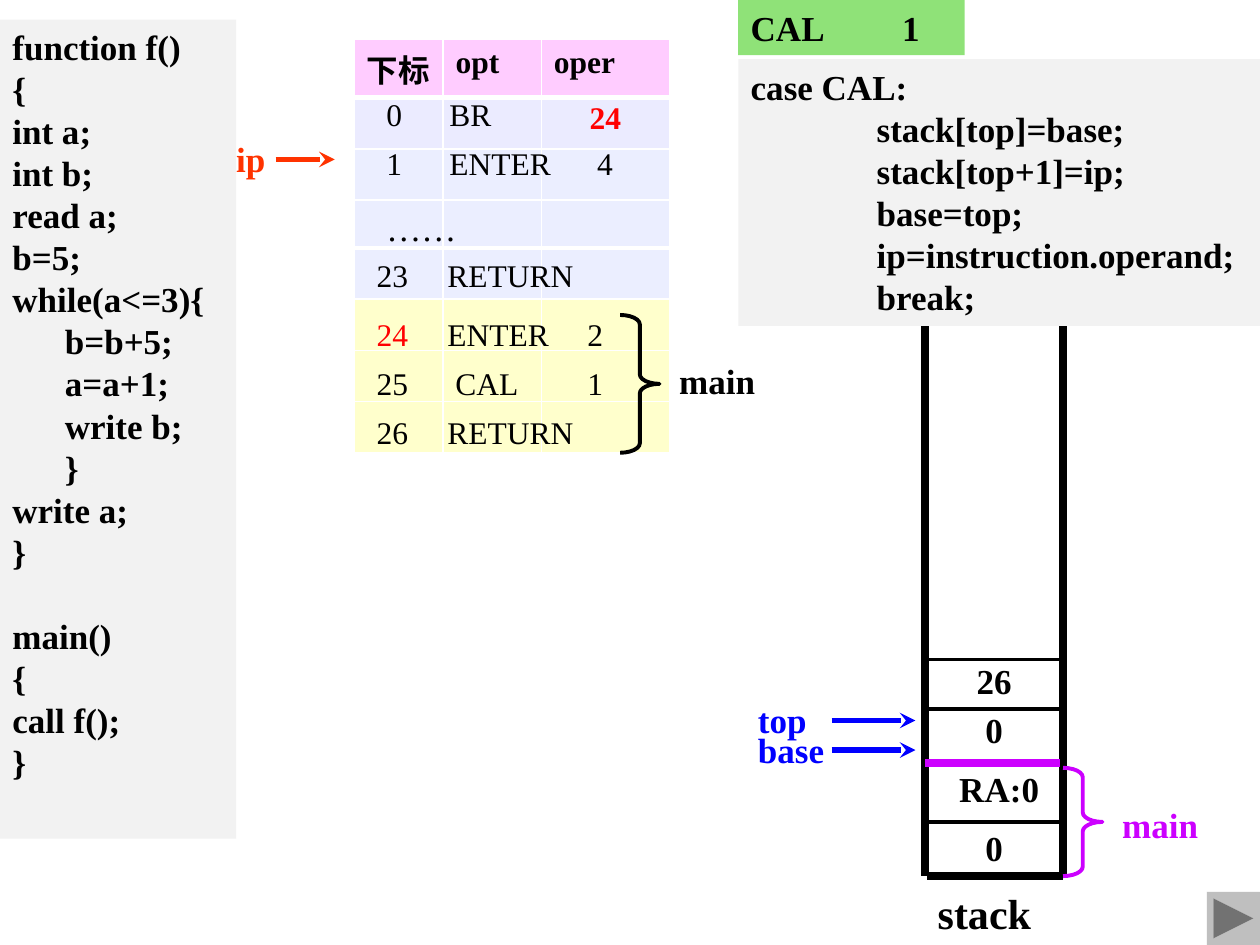
import pptx
import pptx.util
import pptx.dml.color
import pptx.enum.shapes
import pptx.enum.text
import pptx.oxml
import pptx.oxml.ns

COLORS = {
    "black": "000000", "white": "FFFFFF", "red": "FF0000", "orange": "FF3300",
    "blue": "0000FF", "purple": "CC00FF", "gray": "F2F2F2", "button": "BFBFBF",
    "green": "8FE278", "pink": "FFCCFF", "lavender": "EBEBFF",
    "mist": "EBEEFF", "yellow": "FFFFCC",
}
FONT = "Times New Roman"
WIDTH, HEIGHT = pptx.util.Inches(10), pptx.util.Inches(7.5)
UNIT = WIDTH / 128
SHAPES = pptx.enum.shapes.MSO_SHAPE
CENTER = pptx.enum.text.PP_ALIGN.CENTER
LEFT = pptx.enum.text.PP_ALIGN.LEFT


def grid(*values):
    return [round(v * UNIT) for v in values]


def rgb(name):
    return pptx.dml.color.RGBColor.from_string(COLORS[name])


def add_xml(parent, tag, inner="", attrs=""):
    ns = pptx.oxml.ns.nsdecls("a")
    parent.append(pptx.oxml.parse_xml(f"<a:{tag} {ns} {attrs}>{inner}</a:{tag}>"))


def style_run(r, size, color, bold):
    r.font.name, r.font.size, r.font.bold = FONT, pptx.util.Pt(size), bold
    r.font.color.rgb = rgb(color)


def write(sp, lines, size=20, color="black", bold=True, align=LEFT,
          inset=(0.1, 0.05), tabs=(), spacing=None):
    tf = sp.text_frame
    tf.word_wrap = True
    tf.vertical_anchor = pptx.enum.text.MSO_ANCHOR.TOP
    tf.margin_left = tf.margin_right = pptx.util.Inches(inset[0])
    tf.margin_top = tf.margin_bottom = pptx.util.Inches(inset[1])
    for i, line in enumerate(lines):
        p = tf.add_paragraph() if i else tf.paragraphs[0]
        p.text = line
        p.alignment = align
        if spacing:
            p.line_spacing = spacing
        if tabs:
            stops = "".join(f'<a:tab pos="{pos}" algn="l"/>' for pos in grid(*tabs))
            add_xml(p._p.get_or_add_pPr(), "tabLst", stops)
        for r in p.runs:
            style_run(r, size, color, bold)
    return tf


def add_label(s, box, text, **style):
    return write(s.shapes.add_textbox(*grid(*box)), [text], **style)


def add_panel(s, box, fill, lines, **style):
    sp = s.shapes.add_shape(SHAPES.RECTANGLE, *grid(*box))
    sp.shadow.inherit = False
    sp.fill.solid()
    sp.fill.fore_color.rgb = rgb(fill)
    sp.line.fill.background()
    return write(sp, lines, **style)


def add_line(s, x1, y1, x2, y2, color, width, arrow=False):
    cn = s.shapes.add_connector(pptx.enum.shapes.MSO_CONNECTOR.STRAIGHT,
                                *grid(x1, y1, x2, y2))
    cn.line.color.rgb = rgb(color)
    cn.line.width = pptx.util.Pt(width)
    if arrow:
        add_xml(cn.line._get_or_add_ln(), "tailEnd", attrs='type="stealth"')
    add_xml(cn._element.spPr, "effectLst")


def add_brace(s, box, color, text):
    x, y, w, h = box
    sp = s.shapes.add_shape(SHAPES.RIGHT_BRACE, *grid(*box))
    sp.shadow.inherit = False
    sp.adjustments[0] = 0.24
    sp.fill.background()
    sp.line.color.rgb = rgb(color)
    sp.line.width = pptx.util.Pt(2.25)
    add_label(s, (x + w + 2, y + h * 0.29, 10, 4.75), text, color=color,
              inset=(0, 0), spacing=1.1)


def add_pointer(s, box, shaft, text, color):
    x, y, w, h = box
    add_line(s, x + w - shaft, y + h / 2, x + w, y + h / 2, color, 3, arrow=True)
    add_label(s, (x, y, w - shaft, h), text, color=color, inset=(0, 0))


def add_grid_table(s, box, fills, heads=()):
    tbl = s.shapes.add_table(len(fills), 3, *grid(*box)).table
    tbl.first_row = tbl.horz_banding = False
    for col, share in zip(tbl.columns, (9 / 32, 10 / 32, 13 / 32)):
        col.width = round(box[2] * share * UNIT)
    for i, fill in enumerate(fills):
        for j in range(3):
            c = tbl.cell(i, j)
            for side in "LRTB":
                thick = (side == "B" and i == 0) or (side == "T" and i == 1)
                add_xml(c._tc.get_or_add_tcPr(), "ln" + side,
                        f'<a:solidFill><a:srgbClr val="{COLORS["white"]}"/></a:solidFill>',
                        f'w="{pptx.util.Pt(3 if thick else 1)}"')
            c.fill.solid()
            c.fill.fore_color.rgb = rgb(fill)
            if i == 0 and heads:
                c.text_frame.text = heads[j]
                style_run(c.text_frame.paragraphs[0].runs[0], 18, "black", True)


def add_instructions(s, box):
    x, y, w, h = box
    add_grid_table(s, (x, y + 16, w, 26), ["mist"] * 2 + ["yellow"] * 3)
    add_grid_table(s, (x, y, w, 15.6), ["pink", "lavender", "mist"],
                   ("下标", "opt", "oper"))
    plain = {"size": 18, "bold": False}
    for dy, text in ((5, "0\tBR"), (10, "1\tENTER\t4")):
        add_label(s, (x + 2, y + dy, w - 2, 5), text, tabs=(6.4, 21.4), **plain)
    add_label(s, (x + 22, y + 6, 7, 3.8), "24", size=18, color="red",
              align=CENTER, inset=(0.1, 0))
    add_label(s, (x + 2, y + 17, 23, 4.4), "……", bold=False, inset=(0.1, 0))
    rows = ((22, "23\tRETURN", 7.2), (28, "24\tENTER\t2", 7.2),
            (33, "25\tCAL\t1", 8), (38, "26\tRETURN", 7.2))
    for dy, text, stop in rows:
        tf = add_label(s, (x + 1, y + dy, w - 2, 3.8), text,
                       inset=(0.1, 0), tabs=(stop, 21.4), **plain)
        if text.startswith("24"):
            p = tf.paragraphs[0]
            p.runs[0].text = "24"
            style_run(p.runs[0], 18, "red", False)
            r = p.add_run()
            r.text = text[2:]
            style_run(r, 18, "black", False)
    add_brace(s, (x + 27, y + 28, 4, 14), "black", "main")


def add_source_code(s, box):
    lines = ["function f()", "{", "int a;", "int b;", "read a;", "b=5;",
             "while(a<=3){", "      b=b+5;", "      a=a+1;", "      write b;",
             "      }", "write a;", "}", "main()", "{", "call f();", "}"]
    tf = add_panel(s, box, "gray", lines)
    tf.paragraphs[lines.index("main()")].space_before = pptx.util.Pt(24)


def add_call_case(s, box):
    x, y, w, h = box
    add_panel(s, (x, y, 23, 5.6), "green", ["CAL\t1"], tabs=(15.4,))
    add_panel(s, (x, y + 6, w, h - 6), "gray", [
        "case CAL:", "\tstack[top]=base;", "\tstack[top+1]=ip;", "\tbase=top;",
        "\tip=instruction.operand;", "\tbreak;"], tabs=(12.8,))


def add_stack(s, box):
    x, y, w, h = box
    bottom = y + h
    for wall in (x, x + w):
        add_line(s, wall, y, wall, bottom, "black", 4.5)
    add_line(s, x + 0.2, bottom, x + w, bottom, "black", 4.5)
    slots = ((22, 22, "26", w, "black", 2.25), (17, 17, "0", w, "black", 2.25),
             (11.5, 11, "RA:0", w + 1, "purple", 4.5), (5.5, 5, "0", w, "black", 2.25))
    for rise, text_rise, text, width, color, weight in slots:
        add_line(s, x, bottom - rise, x + w - 0.3, bottom - rise, color, weight)
        add_label(s, (x, bottom - text_rise, width, 4.4), text,
                  align=CENTER, inset=(0.1, 0))
    add_label(s, (x, bottom + 0.5, 13, 6.5), "stack", size=24)
    add_brace(s, (x + w, bottom - 11, 4, 11), "purple", "main")
    add_pointer(s, (x - 17, bottom - 18, 16, 4.4), 8.5, "top", "blue")
    add_pointer(s, (x - 17, bottom - 15, 16, 4.4), 8.5, "base", "blue")


def add_next_button(s, box):
    sp = s.shapes.add_shape(SHAPES.ACTION_BUTTON_FORWARD_OR_NEXT, *grid(*box))
    sp.shadow.inherit = False
    sp.fill.solid()
    sp.fill.fore_color.rgb = rgb("button")
    sp.line.fill.background()


def main():
    prs = pptx.Presentation()
    prs.slide_width, prs.slide_height = WIDTH, HEIGHT
    s = prs.slides.add_slide(prs.slide_layouts[6])
    add_next_button(s, (122.6, 90.6, 5.4, 5.4))
    add_instructions(s, (36, 4, 32, 42))
    add_source_code(s, (0, 2, 24, 83.2))
    add_stack(s, (94, 28.5, 14, 60.5))
    add_call_case(s, (75, 0, 53, 33.1))
    add_pointer(s, (24, 14, 10, 4.4), 6, "ip", "orange")
    prs.save("out.pptx")


if __name__ == "__main__":
    main()
